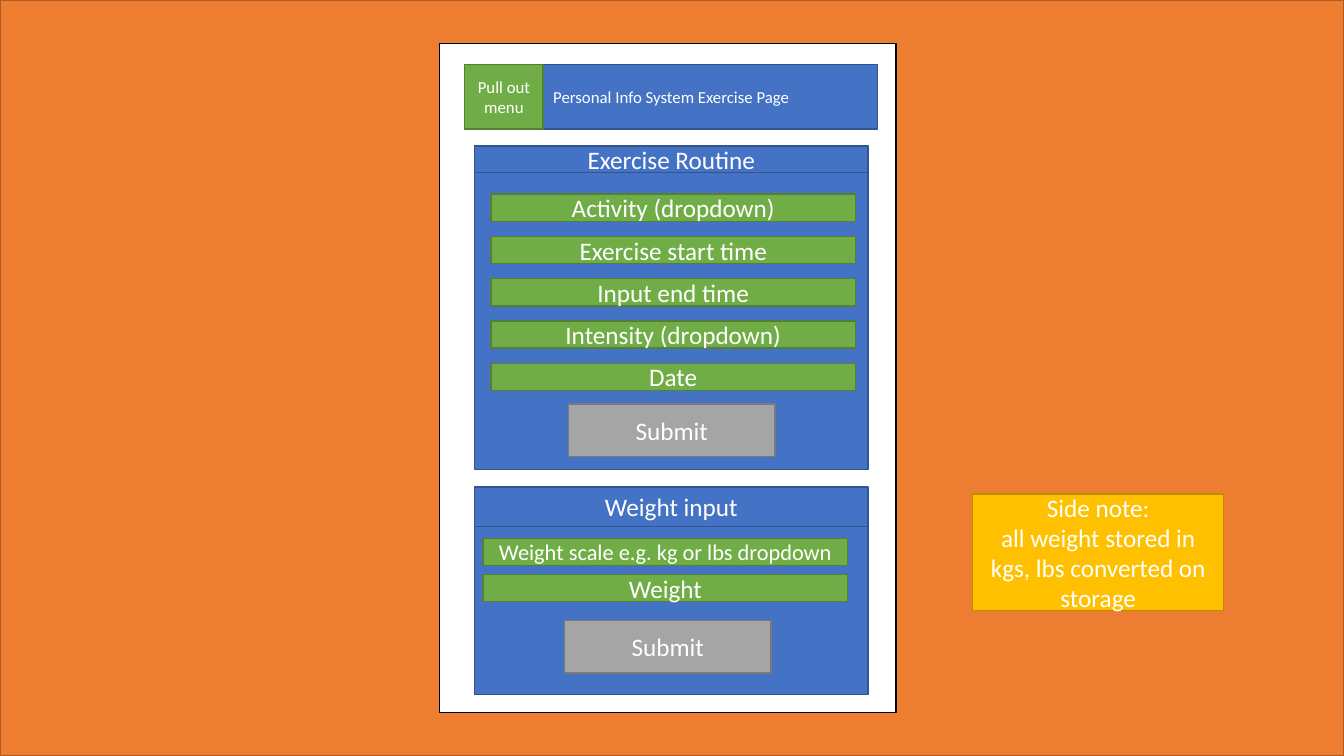
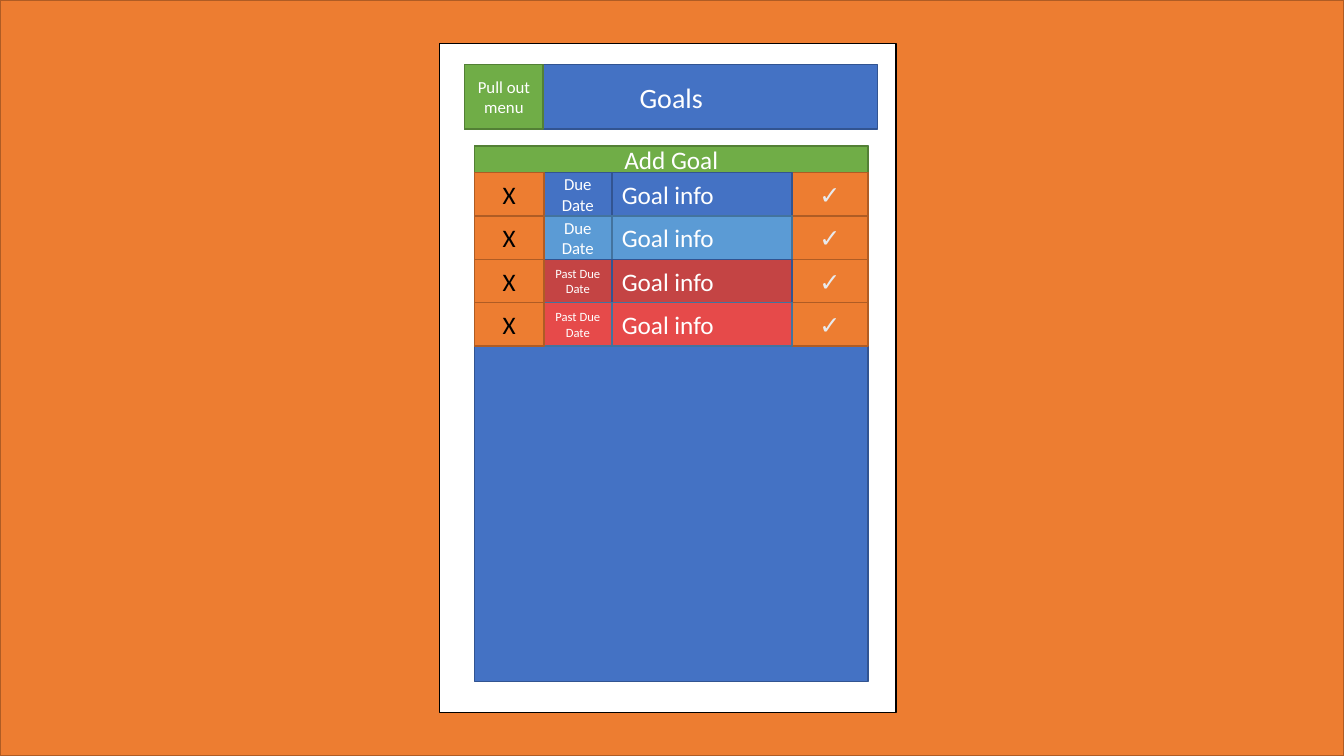
from dataclasses import dataclass

from pptx import Presentation
from pptx.dml.color import RGBColor
from pptx.enum.shapes import MSO_SHAPE
from pptx.enum.text import MSO_ANCHOR, PP_ALIGN
from pptx.util import Pt

RECTANGLE = MSO_SHAPE.RECTANGLE
MIDDLE = MSO_ANCHOR.MIDDLE
CENTER = PP_ALIGN.CENTER
TITLE_ONLY = 5


@dataclass(frozen=True)
class Paint:
    fill: str
    line: str


@dataclass(frozen=True)
class Theme:
    orange = Paint("ED7D31", "AF5C24")
    white = Paint("FFFFFF", "000000")
    blue = Paint("4472C4", "325491")
    sky = Paint("5B9BD5", "43739E")
    green = Paint("70AD47", "538035")
    gray = Paint("A5A5A5", "7A7A7A")
    gold = Paint("FFC000", "BD8E00")
    dark_red = Paint("C44444", "325491")
    light_red = Paint("E64A4A", "43739E")
    light_text = "FFFFFF"
    dark_text = "000000"
    check_text = "E8EAED"
    font = "Calibri"
    check_font = "Roboto"
    heading = 20
    body = 18
    field = 16
    small = 12
    tiny = 9
    line_width = 1


THEME = Theme()


@dataclass(frozen=True)
class Box:
    left: float
    top: float
    width: float
    height: float

    def inner(self, left, top, width, height):
        """Box placed relative to this one."""
        return Box(self.left + left, self.top + top, width, height)


SCREEN = Box(0, 0, 960, 540)
PHONE = Box(314, 31, 326, 478)
HEADER = PHONE.inner(18, 15.2, 295, 46)
SIDE_NOTE = Box(694.8, 352.8, 179.3, 83.5)
FIELD_SIZE = (260.6, 19.4)
BUTTON_SIZE = (147.6, 37.4)
ADD_BAR_HEIGHT = 19
ROW_HEIGHT = 31


def style(shape, paint, text="", size=THEME.body, color=THEME.light_text, font=THEME.font):
    shape.fill.solid()
    shape.fill.fore_color.rgb = RGBColor.from_string(paint.fill)
    shape.line.color.rgb = RGBColor.from_string(paint.line)
    shape.line.width = Pt(THEME.line_width)
    if not text:
        return
    frame = shape.text_frame
    frame.text = text
    frame.word_wrap = True
    frame.vertical_anchor = MIDDLE
    for paragraph in frame.paragraphs:
        paragraph.alignment = CENTER
        paragraph.font.name = font
        paragraph.font.size = Pt(size)
        paragraph.font.color.rgb = RGBColor.from_string(color)


def add_block(slide, box, paint, text="", **text_style):
    shape = slide.shapes.add_shape(
        RECTANGLE, Pt(box.left), Pt(box.top), Pt(box.width), Pt(box.height))
    shape.shadow.inherit = False
    style(shape, paint, text, **text_style)


def add_header(slide, box, title, size):
    # The title placeholder becomes the bar, in front of the phone
    bar = slide.shapes.title
    bar.left, bar.top = Pt(box.left), Pt(box.top)
    bar.width, bar.height = Pt(box.width), Pt(box.height)
    style(bar, THEME.blue, title, size=size)
    bar.element.getparent().append(bar.element)
    add_block(slide, box.inner(0, 0, 56, box.height), THEME.green,
              "Pull out menu", size=THEME.small)


def add_phone_slide(presentation, title, size):
    slide = presentation.slides.add_slide(presentation.slide_layouts[TITLE_ONLY])
    add_block(slide, SCREEN, THEME.orange)
    add_block(slide, PHONE, THEME.white)
    add_header(slide, HEADER, title, size)
    return slide


def add_form(slide, box, title, bar_height, fields, first_field, step, button):
    """Blue panel with a title bar, evenly spaced fields and a button."""
    add_block(slide, box, THEME.blue)
    add_block(slide, box.inner(0, 0, box.width, bar_height), THEME.blue, title)
    left, top = first_field
    for index, (label, size) in enumerate(fields):
        add_block(slide, box.inner(left, top + index * step, *FIELD_SIZE),
                  THEME.green, label, size=size)
    add_block(slide, box.inner(*button, *BUTTON_SIZE), THEME.gray, "Submit")


def add_goal_row(slide, box, paint, due, due_size):
    def cell(left, width):
        return box.inner(left, 0, width, box.height)

    add_block(slide, cell(226.5, box.width - 226.5), THEME.orange, "✓",
              color=THEME.check_text, font=THEME.check_font)
    add_block(slide, cell(49.2, 177.6), paint, "Goal info")
    add_block(slide, cell(49.2, 49), paint, due, size=due_size)
    add_block(slide, cell(0, 49.6), THEME.orange, "X", color=THEME.dark_text)


def add_goal_list(slide, box, goals):
    add_block(slide, box, THEME.blue)
    add_block(slide, box.inner(0, 0, box.width, ADD_BAR_HEIGHT), THEME.green, "Add Goal")
    for index, goal in enumerate(goals):
        top = ADD_BAR_HEIGHT + index * ROW_HEIGHT
        add_goal_row(slide, box.inner(0, top, box.width, ROW_HEIGHT), *goal)


def build_exercise_slide(presentation):
    slide = add_phone_slide(presentation, "Personal Info System Exercise Page", THEME.small)
    # Exercise form
    labels = ("Activity (dropdown)", "Exercise start time", "Input end time",
              "Intensity (dropdown)", "Date")
    add_form(slide, PHONE.inner(25, 73.3, 281, 231), "Exercise Routine", 19,
             [(label, THEME.body) for label in labels],
             first_field=(11.6, 34.4), step=30.2, button=(67, 184.4))
    # Weight form
    add_form(slide, PHONE.inner(25, 317, 281, 148), "Weight input", 28,
             [("Weight scale e.g. kg or lbs dropdown", THEME.field),
              ("Weight", THEME.body)],
             first_field=(6, 36.5), step=26, button=(64.2, 95.3))
    add_block(slide, SIDE_NOTE, THEME.gold,
              "Side note:\nall weight stored in kgs, lbs converted on storage")


def build_goals_slide(presentation):
    slide = add_phone_slide(presentation, "Goals", THEME.heading)
    add_goal_list(slide, PHONE.inner(25, 73.3, 281, 382.5), [
        (THEME.blue, "Due Date", THEME.small),
        (THEME.sky, "Due Date", THEME.small),
        (THEME.dark_red, "Past Due Date", THEME.tiny),
        (THEME.light_red, "Past Due Date", THEME.tiny),
    ])


def main():
    presentation = Presentation()
    presentation.slide_width = Pt(SCREEN.width)
    presentation.slide_height = Pt(SCREEN.height)
    build_exercise_slide(presentation)
    build_goals_slide(presentation)
    presentation.save("out.pptx")


if __name__ == "__main__":
    main()
